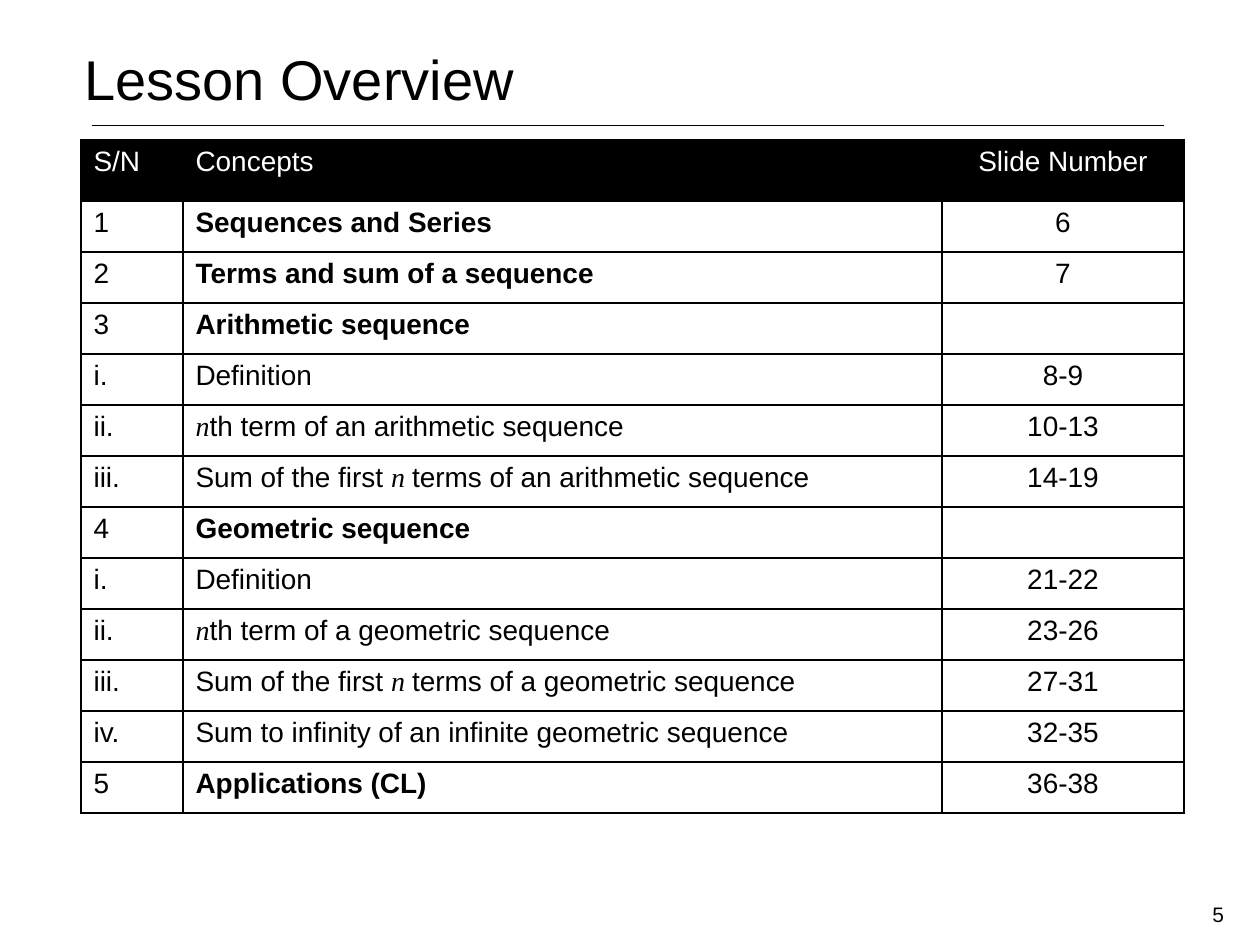
from lxml import etree
from pptx import Presentation
from pptx.dml.color import RGBColor
from pptx.enum.shapes import MSO_CONNECTOR
from pptx.enum.text import PP_ALIGN
from pptx.oxml.ns import qn
from pptx.util import Pt

BLACK = RGBColor(0, 0, 0)
WHITE = RGBColor(255, 255, 255)
LEFT, CENTER = PP_ALIGN.LEFT, PP_ALIGN.CENTER
LINE = MSO_CONNECTOR.STRAIGHT
SANS, SERIF = "Arial", "Times New Roman"

TITLE = "Lesson Overview"
PAGE = "5"
ROWS = [
    ("S/N", "Concepts", "Slide Number"),
    ("1", "Sequences and Series", "6"),
    ("2", "Terms and sum of a sequence", "7"),
    ("3", "Arithmetic sequence", ""),
    ("i.", "Definition", "8-9"),
    ("ii.", "*n*th term of an arithmetic sequence", "10-13"),
    ("iii.", "Sum of the first *n *terms of an arithmetic sequence", "14-19"),
    ("4", "Geometric sequence", ""),
    ("i.", "Definition", "21-22"),
    ("ii.", "*n*th term of a geometric sequence", "23-26"),
    ("iii.", "Sum of the first *n *terms of a geometric sequence", "27-31"),
    ("iv.", "Sum to infinity of an infinite geometric sequence", "32-35"),
    ("5", "Applications (CL)", "36-38"),
]
WIDTHS = [102, 759, 242]
ALIGNS = [LEFT, LEFT, CENTER]
HEAD, BODY = 61, 51


def px(n):
    return round(n * 914400 / 126)


def write(frame, text, size, color=BLACK, bold=False, align=LEFT):
    para = frame.paragraphs[0]
    para.alignment = align
    for i, part in enumerate(text.split("*")):
        if not part:
            continue
        run = para.add_run()
        run.text = part
        math = i % 2 == 1
        font = run.font
        font.size = Pt(size)
        font.name = SERIF if math else SANS
        font.italic = math
        font.bold = bold
        font.color.rgb = color


def label(slide, box, text, size):
    shape = slide.shapes.add_textbox(*map(px, box))
    shape.text_frame.word_wrap = True
    write(shape.text_frame, text, size)


def border(cell):
    props = cell._tc.get_or_add_tcPr()
    for i, side in enumerate(("a:lnL", "a:lnR", "a:lnT", "a:lnB")):
        edge = etree.Element(qn(side), w=str(Pt(1)))
        fill = etree.SubElement(edge, qn("a:solidFill"))
        etree.SubElement(fill, qn("a:srgbClr"), val=str(BLACK))
        props.insert(i, edge)


def grid(slide):
    high = HEAD + BODY * (len(ROWS) - 1)
    frame = slide.shapes.add_table(
        len(ROWS), len(WIDTHS), px(81), px(140), px(sum(WIDTHS)), px(high))
    table = frame.table
    for col, wide in zip(table.columns, WIDTHS):
        col.width = px(wide)
    for r, row in enumerate(ROWS):
        table.rows[r].height = px(BODY if r else HEAD)
        for c, text in enumerate(row):
            cell = table.cell(r, c)
            if r:
                cell.fill.background()
            else:
                cell.fill.solid()
                cell.fill.fore_color.rgb = BLACK
            border(cell)
            bold = c == 1 and row[0].isdigit()
            write(cell.text_frame, text, 16, BLACK if r else WHITE, bold, ALIGNS[c])


def main():
    deck = Presentation()
    deck.slide_width, deck.slide_height = px(1260), px(945)
    slide = deck.slides.add_slide(deck.slide_layouts[6])
    rule = slide.shapes.add_connector(LINE, px(92), px(125), px(1164), px(125))
    rule.line.color.rgb = BLACK
    rule.line.width = Pt(0.25)
    etree.SubElement(rule._element.spPr, qn("a:effectLst"))
    label(slide, (72, 38, 1120, 158), TITLE, 32)
    grid(slide)
    label(slide, (1200, 895, 57, 50), PAGE, 12)
    deck.save("out.pptx")


if __name__ == "__main__":
    main()
